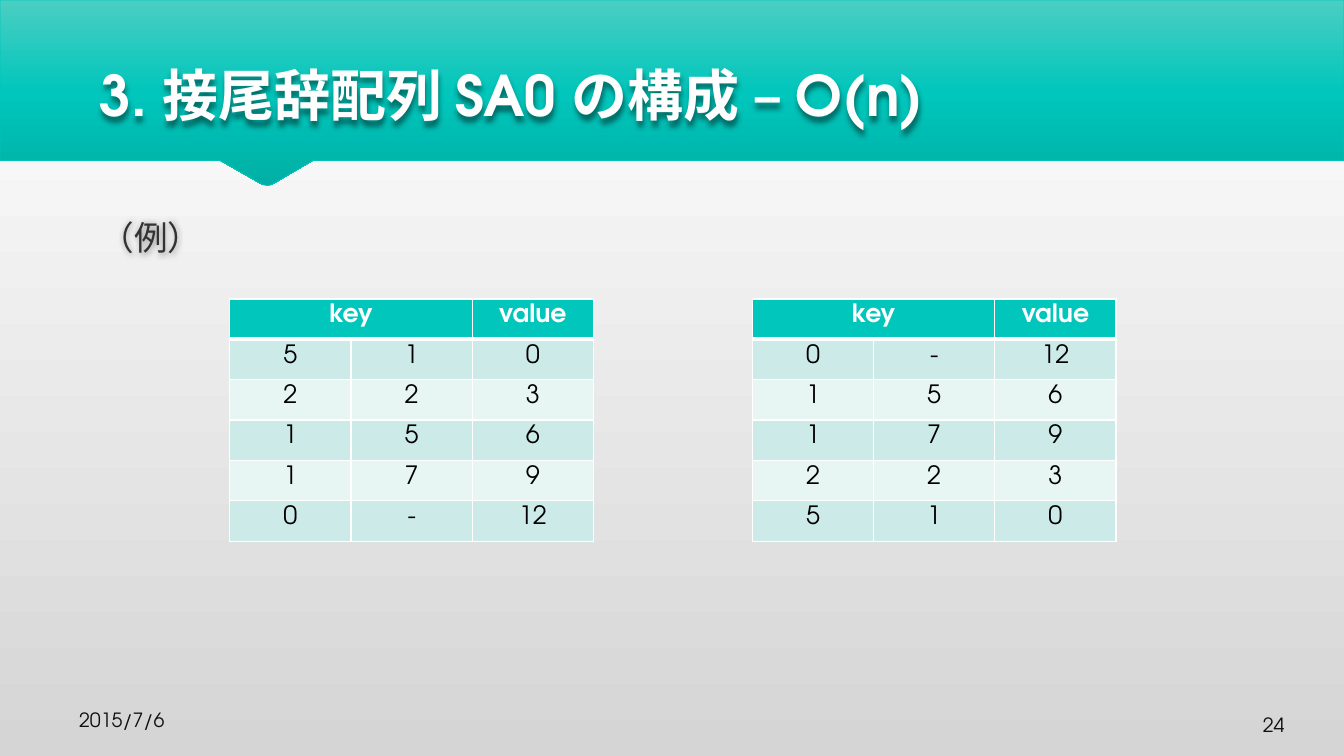
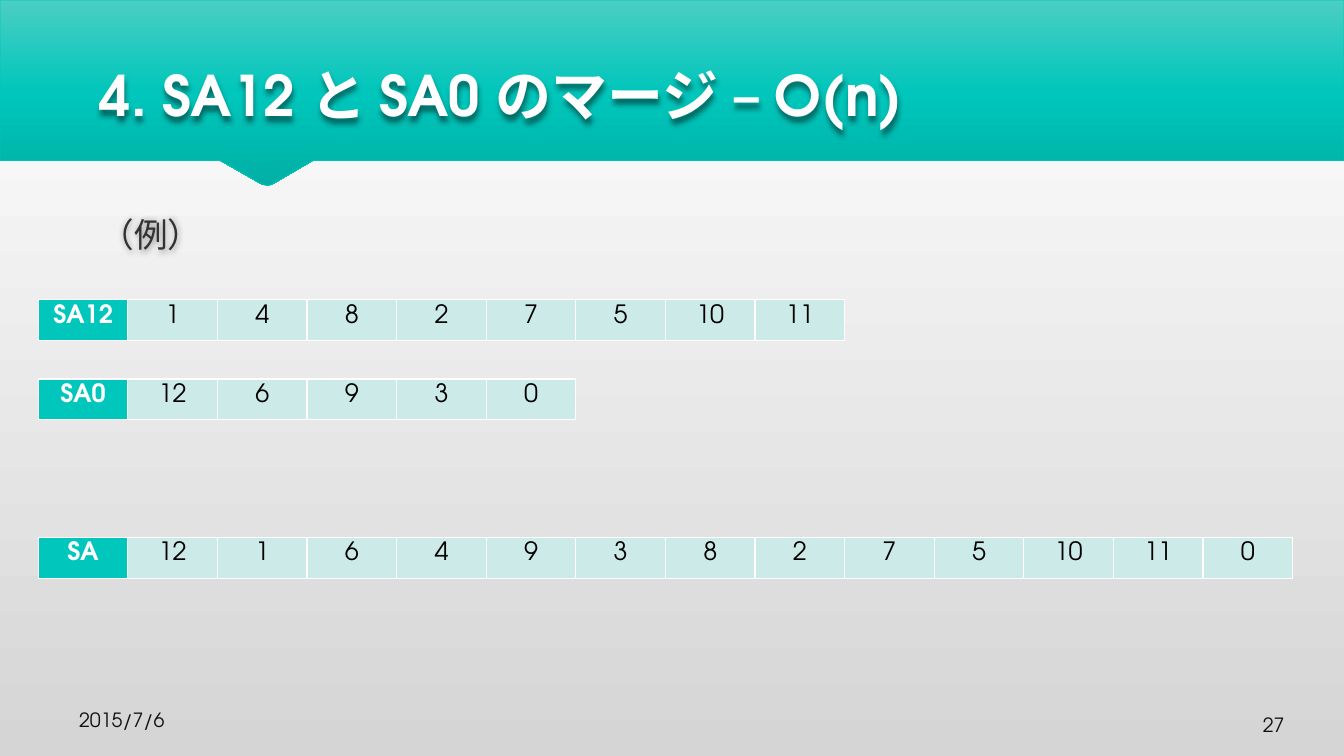
from dataclasses import dataclass

from lxml import etree
from pptx import Presentation
from pptx.dml.color import RGBColor
from pptx.enum.lang import MSO_LANGUAGE_ID
from pptx.enum.text import MSO_ANCHOR, MSO_AUTO_SIZE, PP_ALIGN
from pptx.oxml.ns import qn
from pptx.slide import Slide, SlideLayout
from pptx.table import _Cell
from pptx.text.text import TextFrame
from pptx.util import Inches, Length, Pt

LEFT, CENTER, RIGHT = PP_ALIGN.LEFT, PP_ALIGN.CENTER, PP_ALIGN.RIGHT
TOP, BOTTOM = MSO_ANCHOR.TOP, MSO_ANCHOR.BOTTOM
NO_AUTOFIT = MSO_AUTO_SIZE.NONE
JAPANESE = MSO_LANGUAGE_ID.JAPANESE

SLIDE_W, SLIDE_H = Inches(13.33), Inches(7.5)
FONT = "TeX Gyre Adventor"
DATE = "2015/7/6"
EXAMPLE = "（例）"
COLORS = {
    "accent": "00C6BB",
    "accent_light": "4BCEC3",
    "accent_dark": "00B0A6",
    "stripe_dark": "CCEAE7",
    "stripe_light": "E7F5F3",
    "white": "FFFFFF",
    "backdrop": "D5D5D5",
    "title": "FEFEFE",
    "body": "323232",
    "footer": "101010",
    "black": "000000",
}
BAND_OUTLINE = [
    (100, 0), (0, 0), (0, 21.2), (16.35, 21.2), (19.5, 24.4), (19.8, 24.53),
    (20.03, 24.53), (20.25, 24.4), (23.33, 21.2), (100, 21.2),
]


@dataclass(frozen=True)
class Box:
    """Position and size in percent of the slide."""
    x: float
    y: float
    w: float
    h: float


@dataclass(frozen=True)
class Grid:
    x: float
    y: float
    column: float
    row: float
    rows: list[list[str]]
    key_header: bool = False


@dataclass(frozen=True)
class Page:
    title: str
    number: int
    example_top: float
    grids: list[Grid]


TITLE_BOX = Box(6.68, 3.87, 86.65, 13.73)
DATE_BOX = Box(1.95, 92.13, 11.03, 5.33)
NUMBER_BOX = Box(87.62, 90.4, 8.7, 7.2)
PAIRS = [["5", "1", "0"], ["2", "2", "3"], ["1", "5", "6"],
         ["1", "7", "9"], ["0", "-", "12"]]


def key_grid(x: float, pairs: list[list[str]]) -> Grid:
    return Grid(x, 39.55, 9.02, 4.76, [["key", "", "value"], *pairs], True)


def array_grid(y: float, name: str, values: str) -> Grid:
    return Grid(2.85, y, 100 / 15, 5.41, [[name, *values.split()]])


PAGES = [
    Page("3. 接尾辞配列 SA0 の構成 – O(n)", 24, 26.4,
         [key_grid(17.1, PAIRS), key_grid(55.98, sorted(PAIRS))]),
    Page("4. SA12 と SA0 のマージ – O(n)", 27, 26, [
        array_grid(39.6, "SA12", "1 4 8 2 7 5 10 11"),
        array_grid(50.13, "SA0", "12 6 9 3 0"),
        array_grid(71.07, "SA", "12 1 6 4 9 3 8 2 7 5 10 11 0"),
    ]),
]


def across(percent: float) -> Length:
    return Length(round(SLIDE_W * percent / 100))


def down(percent: float) -> Length:
    return Length(round(SLIDE_H * percent / 100))


def place(box: Box) -> tuple[Length, Length, Length, Length]:
    return across(box.x), down(box.y), across(box.w), down(box.h)


def rgb(name: str) -> RGBColor:
    return RGBColor.from_string(COLORS[name])


def write(frame: TextFrame, text: str, *, size: float, color: str,
          bold: bool = False, align: PP_ALIGN = LEFT,
          spacing: float = 1.0, before: float = 0, after: float = 0) -> None:
    paragraph = frame.paragraphs[0]
    paragraph.alignment = align
    paragraph.line_spacing = spacing
    paragraph.space_before, paragraph.space_after = Pt(before), Pt(after)
    run = paragraph.add_run()
    run.text = text
    run.font.name, run.font.size, run.font.bold = FONT, Pt(size), bold
    run.font.color.rgb = rgb(color)
    run.font.language_id = JAPANESE


def add_text(slide: Slide, box: Box, text: str, *, anchor: MSO_ANCHOR = TOP,
             bottom_inset: float = 0.05, **text_format):
    holder = slide.shapes.add_textbox(*place(box))
    frame = holder.text_frame
    frame.word_wrap = True
    frame.vertical_anchor = anchor
    frame.margin_bottom = Inches(bottom_inset)
    write(frame, text, **text_format)
    return holder


def add_shadow(shape, blur: float, distance: float, alpha: int) -> None:
    effects = etree.SubElement(shape.element.spPr, qn("a:effectLst"))
    shadow = etree.SubElement(effects, qn("a:outerShdw"), blurRad=str(Pt(blur)),
                              dist=str(Pt(distance)), dir="5400000")
    tint = etree.SubElement(shadow, qn("a:srgbClr"), val=COLORS["black"])
    etree.SubElement(tint, qn("a:alpha"), val=str(alpha * 1000))


def paint_gradient(fill, owner: etree._Element, names: list[str]) -> None:
    fill.gradient()
    fill.gradient_angle = 270
    stops = next(owner.iter(qn("a:gsLst")))
    for stop in list(stops):
        stops.remove(stop)
    for index, name in enumerate(names):
        position = 100000 * index // (len(names) - 1)
        stop = etree.SubElement(stops, qn("a:gs"), pos=str(position))
        etree.SubElement(stop, qn("a:srgbClr"), val=COLORS[name])


def dress_layout(layout: SlideLayout, slide: Slide) -> None:
    paint_gradient(layout.background.fill, layout.element, ["white", "backdrop"])
    points = [(across(x), down(y)) for x, y in BAND_OUTLINE]
    builder = slide.shapes.build_freeform(*points[0], scale=1.0)
    builder.add_line_segments(points[1:], close=True)
    band = builder.convert_to_shape()
    band.shadow.inherit = False
    paint_gradient(band.fill, band.element,
                   ["accent_light", "accent", "accent_dark"])
    band.line.color.rgb = rgb("accent")
    band.line.width = Pt(0.5)
    layout.shapes.element.insert(2, band.element)


def draw_borders(cell: _Cell, top: float, bottom: float) -> None:
    properties = cell._tc.get_or_add_tcPr()
    widths = {"a:lnL": 1, "a:lnR": 1, "a:lnT": top, "a:lnB": bottom}
    for index, (side, width) in enumerate(widths.items()):
        line = etree.Element(qn(side), w=str(Pt(width)))
        fill = etree.SubElement(line, qn("a:solidFill"))
        etree.SubElement(fill, qn("a:srgbClr"), val=COLORS["white"])
        properties.insert(index, line)


def add_grid(slide: Slide, grid: Grid) -> None:
    row_count, column_count = len(grid.rows), len(grid.rows[0])
    area = Box(grid.x, grid.y, grid.column * column_count, grid.row * row_count)
    table = slide.shapes.add_table(row_count, column_count, *place(area)).table
    table.first_row = table.horz_banding = False
    for column in table.columns:
        column.width = across(grid.column)
    for r, values in enumerate(grid.rows):
        table.rows[r].height = down(grid.row)
        for c, value in enumerate(values):
            heading = r == 0 if grid.key_header else c == 0
            stripe = "stripe_light" if r and r % 2 == 0 else "stripe_dark"
            cell = table.cell(r, c)
            cell.fill.solid()
            cell.fill.fore_color.rgb = rgb("accent" if heading else stripe)
            draw_borders(cell, 3 if grid.key_header and r == 1 else 1,
                         3 if grid.key_header and r == 0 else 1)
            if value:
                write(cell.text_frame, value, size=18, bold=heading, align=CENTER,
                      color="white" if heading else "black")
    if grid.key_header:
        table.cell(0, 0).merge(table.cell(0, 1))


def fill_page(slide: Slide, page: Page) -> None:
    title = slide.shapes.title
    title.left, title.top, title.width, title.height = place(TITLE_BOX)
    title.text_frame.vertical_anchor = BOTTOM
    title.text_frame.auto_size = NO_AUTOFIT
    write(title.text_frame, page.title, size=40, color="title", bold=True)
    add_shadow(title, 4, 3, 45)
    example = add_text(slide, Box(6.75, page.example_top, 86.6, 8), EXAMPLE,
                       size=24, color="body", spacing=1.3, before=4.8, after=6)
    add_shadow(example, 4, 0, 40)
    for grid in page.grids:
        add_grid(slide, grid)
    footer = {"size": 14, "color": "footer", "align": RIGHT, "anchor": BOTTOM}
    add_text(slide, DATE_BOX, DATE, **footer)
    add_text(slide, NUMBER_BOX, str(page.number), bottom_inset=0.01, **footer)


def main() -> None:
    deck = Presentation()
    deck.slide_width, deck.slide_height = SLIDE_W, SLIDE_H
    layout = deck.slide_layouts.get_by_name("Title Only")
    slides = [deck.slides.add_slide(layout) for _ in PAGES]
    dress_layout(layout, slides[0])
    for slide, page in zip(slides, PAGES):
        fill_page(slide, page)
    deck.save("out.pptx")


if __name__ == "__main__":
    main()
